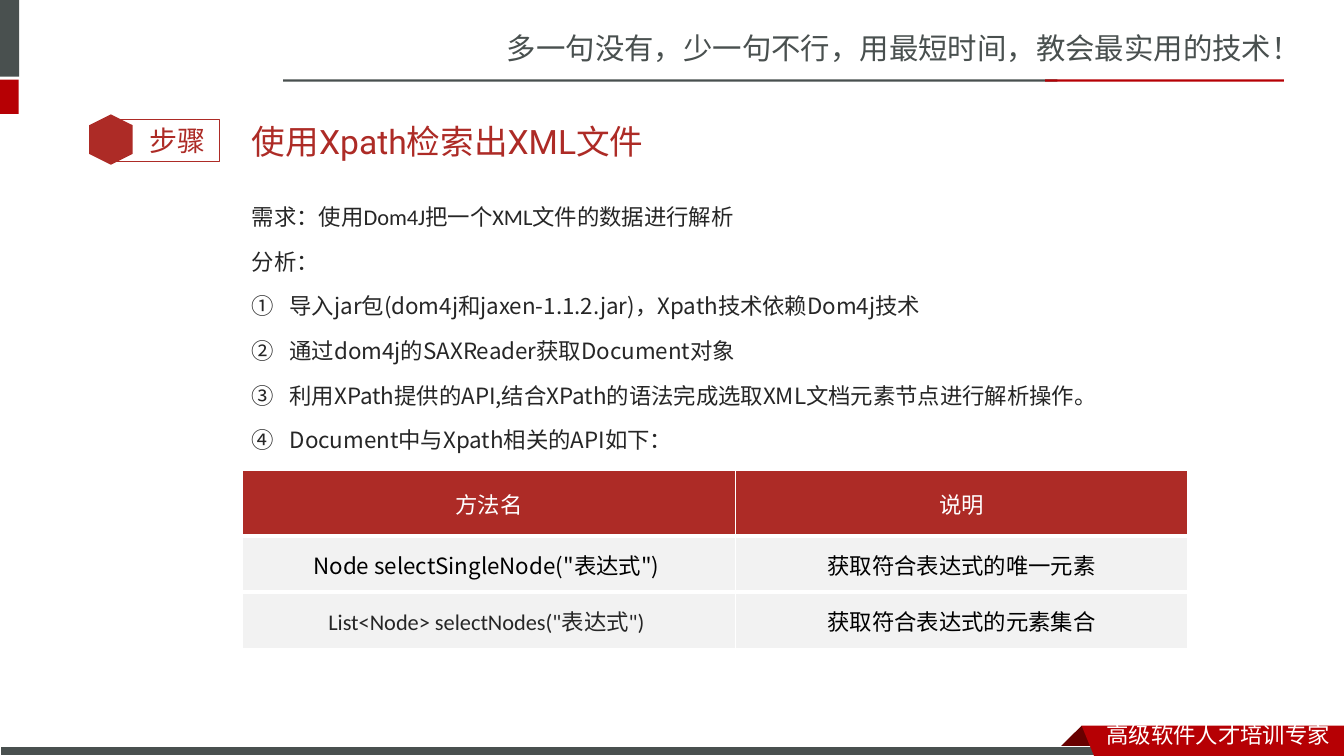
"""Build the slide about searching an XML file with Xpath."""
from dataclasses import dataclass
from typing import Any, Optional

from lxml import etree
from pptx import Presentation
from pptx import util as u
from pptx.dml import color
from pptx.enum import shapes, text
from pptx.oxml import ns

RED, DEEP_RED, DARK_RED = "AD2B26", "B60004", "680000"
GREY, INK, WHITE, BLACK, PALE = "49504F", "262626", "FFFFFF", "000000", "F2F2F2"
CJK, CJK_JP, CALIBRI, ROBOTO = "Noto Sans CJK SC", "Noto Sans CJK JP", "Calibri", "Roboto"
Box = tuple[float, float, float, float]


@dataclass
class Panel:
    box: Box
    fill: Optional[str] = None
    line: Optional[str] = None
    width: float = 0.75
    kind: Any = shapes.MSO_SHAPE.RECTANGLE
    rotation: float = 0


@dataclass
class Line:
    words: str
    size: float
    font: str
    colour: str
    spacing: Optional[float] = None
    before: float = 0
    numbered: bool = False
    align: Any = text.PP_ALIGN.LEFT


@dataclass
class Label:
    box: Box
    lines: list[Line]


@dataclass
class Outline:
    points: list[tuple[float, float]]
    fill: str


HEXAGON = shapes.MSO_SHAPE.HEXAGON
BARS = [
    Panel((0, 0, 13.7, 54.7), GREY),
    Panel((0, 56.9, 13.3, 24.5), DEEP_RED),
    Panel((202.3, 56.7, 553, 1.6), GREY),
    Panel((746.6, 56.7, 170.6, 1.6), DEEP_RED),
]
FOOTER_BAR = Panel((0, 533.5, 791, 6.5), GREY, WHITE)
STEP_MARK = [
    Panel((78.5, 85.5, 78.5, 29.7), None, RED, 1),
    Panel((61.2, 84.2, 36, 31), RED, kind=HEXAGON, rotation=90),
]
RIBBON_FOLD = Outline([(772.6, 518.4), (788.4, 534.2), (787.7, 535), (757.4, 535), (756.7, 534.2)], DARK_RED)
RIBBON = Outline([(772.6, 518.4), (960, 518.4), (960, 540), (781.5, 540)], DEEP_RED)

TITLE = Label((172.8, 79.9, 725.8, 41), [Line("使用Xpath检索出XML文件", 24, ROBOTO, RED)])
INTRO = ["需求：使用Dom4J把一个XML文件的数据进行解析", "分析："]
STEPS = [
    "导入jar包(dom4j和jaxen-1.1.2.jar)，Xpath技术依赖Dom4j技术",
    "通过dom4j的SAXReader获取Document对象",
    "利用XPath提供的API,结合XPath的语法完成选取XML文档元素节点进行解析操作。",
    "Document中与Xpath相关的API如下：",
]
BODY = [Line(words, 16, CALIBRI, INK, 28.7, 3.2) for words in INTRO]
BODY += [Line(words, 16, CJK_JP, INK, 28.7, 3.2, True) for words in STEPS]
LABELS = [
    Label((355, 18, 605, 34), [Line("多一句没有，少一句不行，用最短时间，教会最实用的技术！", 21, CJK, GREY)]),
    Label((783.4, 511.8, 176.6, 28), [Line("高级软件人才培训专家", 16, CJK, WHITE)]),
    Label((99.4, 84.4, 61.2, 36), [Line("步骤", 20, CALIBRI, RED)]),
    Label((172.8, 132, 725.8, 198), BODY),
]

CENTER = text.PP_ALIGN.CENTER
TABLE_BOX = (172.8, 336.2, 675.4, 127)
COLUMNS, ROWS = (352.8, 322.6), (46.8, 40.1, 40.1)
CELLS = [
    [Line(words, 16, CALIBRI, WHITE, 24, align=CENTER) for words in ("方法名", "说明")],
    [Line(words, 16, CJK, BLACK, align=CENTER)
     for words in ('Node selectSingleNode("表达式") ', "获取符合表达式的唯一元素")],
    [Line('List<Node> selectNodes("表达式") ', 16, CALIBRI, INK, align=CENTER),
     Line("获取符合表达式的元素集合", 16, CJK, BLACK, align=CENTER)],
]


def rgb(value: str) -> color.RGBColor:
    """Turn a hex string into a colour."""
    return color.RGBColor.from_string(value)


def points(values: tuple) -> list[int]:
    """Turn point values into lengths."""
    return [u.Pt(value) for value in values]


def paint(shape: Any, fill: Optional[str], line: Optional[str] = None, width: float = 0.75) -> None:
    """Set the fill and outline of a shape and drop its shadow."""
    shape.shadow.inherit = False
    for target, value in ((shape.fill, fill), (shape.line.fill, line)):
        if value:
            target.solid()
            target.fore_color.rgb = rgb(value)
        else:
            target.background()
    if line:
        shape.line.width = u.Pt(width)


def draw_panel(slide: Any, panel: Panel) -> None:
    """Draw a preset shape."""
    shape = slide.shapes.add_shape(panel.kind, *points(panel.box))
    shape.rotation = panel.rotation
    paint(shape, panel.fill, panel.line, panel.width)


def draw_outline(slide: Any, outline: Outline) -> None:
    """Draw a filled polygon."""
    start, *others = [points(point) for point in outline.points]
    builder = slide.shapes.build_freeform(*start)
    builder.add_line_segments(others, close=True)
    paint(builder.convert_to_shape(), outline.fill)


def write(frame: Any, lines: list[Line]) -> None:
    """Fill a text frame with formatted paragraphs."""
    for index, line in enumerate(lines):
        paragraph = frame.add_paragraph() if index else frame.paragraphs[0]
        properties = paragraph._p.get_or_add_pPr()
        if line.numbered:
            properties.set("marL", str(u.Pt(27)))
            properties.set("indent", str(u.Pt(-27)))
            etree.SubElement(properties, ns.qn("a:buAutoNum"), type="circleNumDbPlain")
        layout = {"alignment": line.align, "space_before": u.Pt(line.before if index else 0)}
        if line.spacing:
            layout["line_spacing"] = u.Pt(line.spacing)
        for name, value in layout.items():
            setattr(paragraph, name, value)
        run = paragraph.add_run()
        run.text = line.words
        for name, value in {"size": u.Pt(line.size), "name": line.font, "bold": False}.items():
            setattr(run.font, name, value)
        run.font.color.rgb = rgb(line.colour)
        etree.SubElement(run._r.get_or_add_rPr(), ns.qn("a:ea"), typeface=CJK)


def draw_label(slide: Any, label: Label) -> None:
    """Draw a wrapping text box."""
    frame = slide.shapes.add_textbox(*points(label.box)).text_frame
    frame.word_wrap = True
    write(frame, label.lines)


def set_title(slide: Any, label: Label) -> None:
    """Place and write the title."""
    title = slide.shapes.title
    for name, value in zip(("left", "top", "width", "height"), points(label.box)):
        setattr(title, name, value)
    title.text_frame.vertical_anchor = text.MSO_ANCHOR.MIDDLE
    write(title.text_frame, label.lines)


def add_borders(cell: Any, widths: dict[str, float]) -> None:
    """Give a cell white borders."""
    properties = cell._tc.get_or_add_tcPr()
    for index, (side, width) in enumerate(widths.items()):
        border = etree.Element(ns.qn(f"a:ln{side}"), w=str(u.Pt(width)))
        fill = etree.SubElement(border, ns.qn("a:solidFill"))
        etree.SubElement(fill, ns.qn("a:srgbClr"), val=WHITE)
        properties.insert(index, border)


def draw_table(slide: Any) -> None:
    """Draw the table of methods."""
    table = slide.shapes.add_table(len(ROWS), len(COLUMNS), *points(TABLE_BOX)).table
    for column, width in zip(table.columns, points(COLUMNS)):
        column.width = width
    for row, height in zip(table.rows, points(ROWS)):
        row.height = height
    for row, lines in enumerate(CELLS):
        top, bottom = (3 if row else 1), (1 if row == len(ROWS) - 1 else 3)
        for column, line in enumerate(lines):
            cell = table.cell(row, column)
            cell.vertical_anchor = text.MSO_ANCHOR.MIDDLE
            cell.fill.solid()
            cell.fill.fore_color.rgb = rgb(PALE if row else RED)
            add_borders(cell, {"L": 1, "R": 1, "T": top, "B": bottom})
            write(cell.text_frame, [line])


def main() -> None:
    """Build and save the presentation."""
    presentation = Presentation()
    presentation.slide_width, presentation.slide_height = points((960, 540))
    slide = presentation.slides.add_slide(presentation.slide_layouts[5])
    set_title(slide, TITLE)
    for panel in BARS:
        draw_panel(slide, panel)
    draw_outline(slide, RIBBON_FOLD)
    draw_panel(slide, FOOTER_BAR)
    draw_outline(slide, RIBBON)
    for panel in STEP_MARK:
        draw_panel(slide, panel)
    for label in LABELS:
        draw_label(slide, label)
    draw_table(slide)
    presentation.save("out.pptx")


if __name__ == "__main__":
    main()
